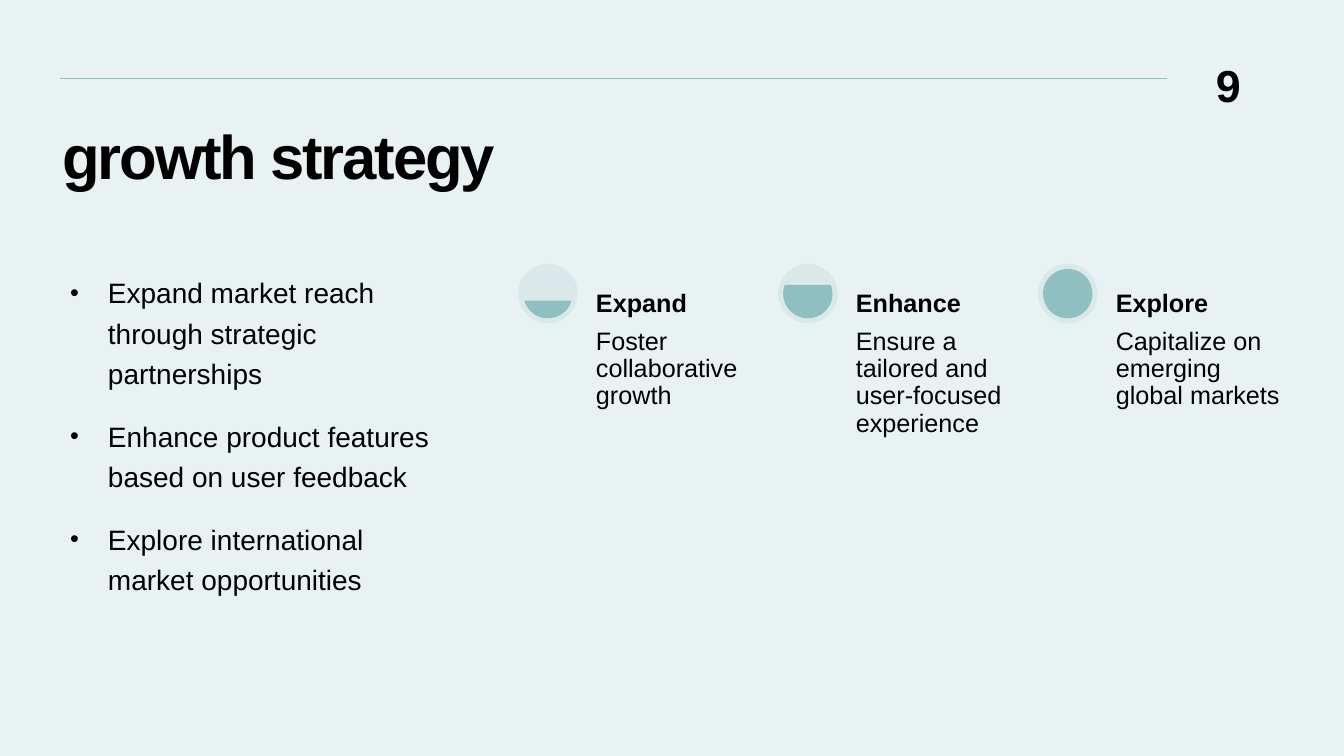
from dataclasses import dataclass
from math import asin, degrees

from lxml.etree import SubElement
from pptx import Presentation
from pptx.dml.color import RGBColor
from pptx.enum.shapes import MSO_CONNECTOR, MSO_SHAPE
from pptx.enum.text import MSO_ANCHOR, MSO_AUTO_SIZE, PP_ALIGN
from pptx.oxml.ns import qn
from pptx.util import Cm, Pt


@dataclass(frozen=True)
class Theme:
    font: str = "Arial"
    background: RGBColor = RGBColor(0xE8, 0xF2, 0xF3)
    disc: RGBColor = RGBColor(0xDB, 0xE8, 0xE9)
    accent: RGBColor = RGBColor(0x8E, 0xC0, 0xC1)
    text: RGBColor = RGBColor(0, 0, 0)
    title: Pt = Pt(44)
    number: Pt = Pt(32)
    body: Pt = Pt(20)
    card: Pt = Pt(18)


THEME = Theme()

GOALS = [
    "Expand market reach through strategic partnerships",
    "Enhance product features based on user feedback",
    "Explore international market opportunities",
]
CARDS = [
    ("Expand", "Foster collaborative growth"),
    ("Enhance", "Ensure a tailored and user-focused experience"),
    ("Explore", "Capitalize on emerging global markets"),
]
# Centimetres
CONTENT_TOP = 6.65
CARD_LEFT, CARD_PITCH = 13.06, 6.55
DISC, RING = 1.5, 0.15
CARD_TEXT_OFFSET, CARD_TEXT_WIDTH = 1.83, 4.42
CARD_TEXT_HEIGHT = 6.3


def place(s, left, top, width, height):
    s.left, s.top, s.width, s.height = Cm(left), Cm(top), Cm(width), Cm(height)


def format_frame(tf, margins, anchor=MSO_ANCHOR.TOP):
    tf.word_wrap = True
    tf.auto_size = MSO_AUTO_SIZE.NONE
    tf.vertical_anchor = anchor
    tf.margin_left, tf.margin_top, tf.margin_right, tf.margin_bottom = map(Cm, margins)


def format_paragraph(p, size, bold=False, align=PP_ALIGN.LEFT, spacing=1.0, before=0, after=0):
    p.alignment = align
    p.line_spacing = spacing
    p.space_before, p.space_after = Pt(before), Pt(after)
    for r in p.runs:
        r.font.name, r.font.size, r.font.bold = THEME.font, size, bold
        r.font.color.rgb = THEME.text


def add_bullet(p):
    pPr = p._p.get_or_add_pPr()
    pPr.set("marL", str(Cm(0.95)))
    pPr.set("indent", str(-Cm(0.95)))
    SubElement(pPr, qn("a:buSzPct")).set("val", "90000")
    SubElement(pPr, qn("a:buFont")).set("typeface", THEME.font)
    SubElement(pPr, qn("a:buChar")).set("char", "•")


def add_rule(slide):
    line = slide.shapes.add_connector(
        MSO_CONNECTOR.STRAIGHT, Cm(1.52), Cm(1.98), Cm(29.41), Cm(1.98))
    line.line.color.rgb = THEME.accent
    line.line.width = Pt(0.75)
    SubElement(line._element.spPr, qn("a:effectLst"))


def add_title(slide, text):
    s = slide.shapes.title
    place(s, 1.57, 3.05, 30.8, 3.35)
    s.text_frame.text = text
    format_frame(s.text_frame, (0, 0.13, 0.25, 0.13))
    p = s.text_frame.paragraphs[0]
    format_paragraph(p, THEME.title, bold=True, spacing=0.9)
    p.runs[0].font._element.set("spc", "-150")


def add_goals(slide, goals):
    s = slide.placeholders[1]
    place(s, 1.52, CONTENT_TOP, 9.6, 11.02)
    s.text_frame.text = "\n".join(goals)
    format_frame(s.text_frame, (0.25, 0.13, 0.25, 0.13))
    for p in s.text_frame.paragraphs:
        format_paragraph(p, THEME.body, spacing=1.2, before=10, after=6)
        add_bullet(p)


def add_text(shapes, text, box, size, margin=0.13, anchor=MSO_ANCHOR.TOP, **paragraph):
    s = shapes.add_textbox(*map(Cm, box))
    s.text_frame.text = text
    format_frame(s.text_frame, [margin] * 4, anchor)
    format_paragraph(s.text_frame.paragraphs[0], size, **paragraph)


def add_solid(shapes, kind, left, top, size, color):
    s = shapes.add_shape(kind, Cm(left), Cm(top), Cm(size), Cm(size))
    s.shadow.inherit = False
    s.fill.solid()
    s.fill.fore_color.rgb = color
    s.line.fill.background()
    return s


def add_gauge(shapes, left, top, share):
    """Draw a disc filled from the bottom up to the given share of its height."""
    add_solid(shapes, MSO_SHAPE.OVAL, left, top, DISC, THEME.disc)
    level = add_solid(shapes, MSO_SHAPE.CHORD, left + RING, top + RING,
                      DISC - 2 * RING, THEME.accent)
    level.line.color.rgb = THEME.accent
    level.line.width = Pt(1.25)
    # Adjustments count 60000ths of a degree, divided by 100000
    angle = degrees(asin(1 - 2 * share))
    level.adjustments[0] = angle % 360 * 0.6
    level.adjustments[1] = (180 - angle) * 0.6


def add_card(slide, left, heading, text, share):
    shapes = slide.shapes.add_group_shape().shapes
    add_gauge(shapes, left, CONTENT_TOP, share)
    text_left = left + CARD_TEXT_OFFSET
    add_text(shapes, text,
             (text_left, CONTENT_TOP + DISC, CARD_TEXT_WIDTH, CARD_TEXT_HEIGHT),
             THEME.card, spacing=0.9, after=6.3)
    add_text(shapes, heading, (text_left, CONTENT_TOP, CARD_TEXT_WIDTH, DISC),
             THEME.card, anchor=MSO_ANCHOR.BOTTOM, bold=True, spacing=0.9, after=6.3)


def main():
    prs = Presentation()
    prs.slide_width, prs.slide_height = Cm(33.87), Cm(19.05)
    slide = prs.slides.add_slide(prs.slide_layouts[1])
    slide.background.fill.solid()
    slide.background.fill.fore_color.rgb = THEME.background

    # Header
    add_rule(slide)
    add_title(slide, "growth strategy")
    add_text(slide.shapes, "9", (28.73, 1.45, 2.54, 1.35), THEME.number,
             margin=0, bold=True, align=PP_ALIGN.RIGHT)

    # Goals and progress cards
    add_goals(slide, GOALS)
    for i, (heading, text) in enumerate(CARDS):
        add_card(slide, CARD_LEFT + i * CARD_PITCH, heading, text, (i + 1) / len(CARDS))

    prs.save("out.pptx")


if __name__ == "__main__":
    main()
